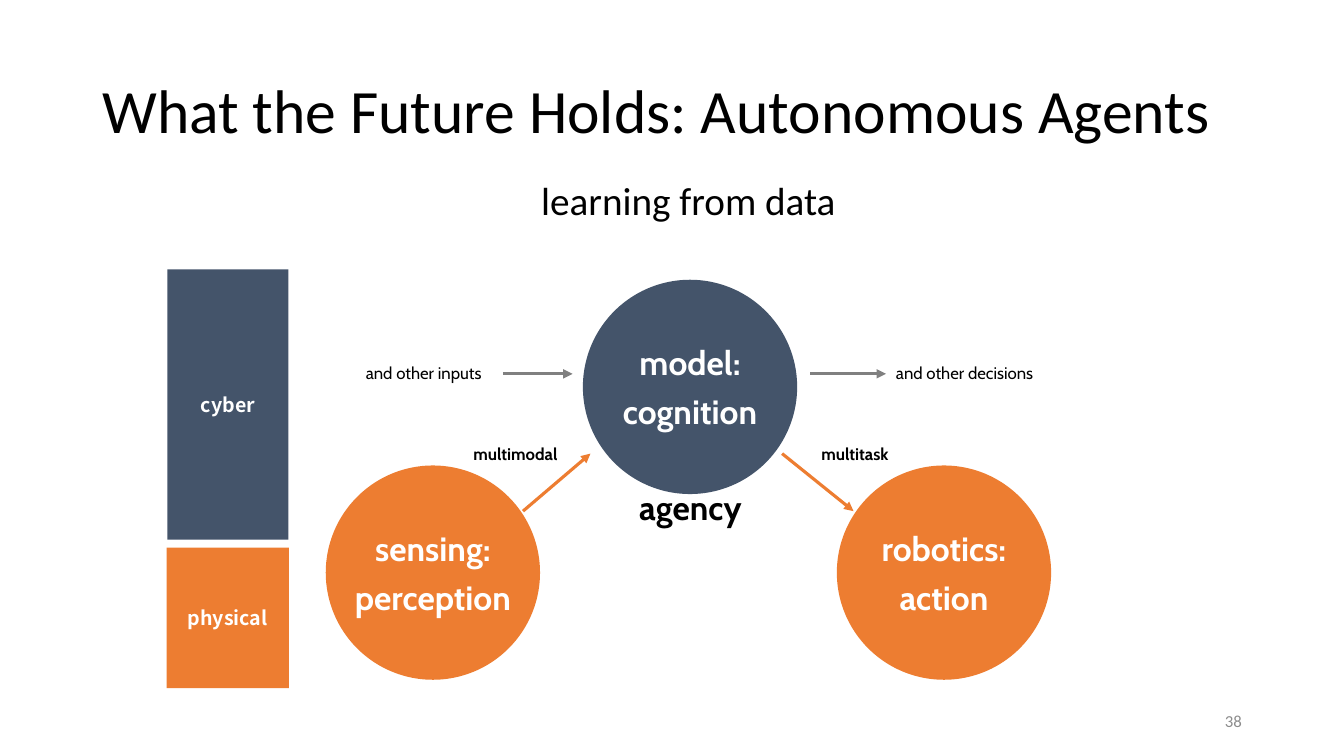
from lxml import etree
from pptx import Presentation
from pptx.dml.color import RGBColor
from pptx.enum import shapes, text
from pptx.oxml.ns import qn
from pptx.util import Cm, Pt

ORANGE = RGBColor(0xED, 0x7D, 0x31)
NAVY = RGBColor(0x44, 0x54, 0x6A)
GREY = RGBColor(0x80, 0x80, 0x80)
PALE_GREY = RGBColor(0x8C, 0x8C, 0x8C)
BLACK = RGBColor(0, 0, 0)
WHITE = RGBColor(0xFF, 0xFF, 0xFF)
LEFT, CENTER, RIGHT = text.PP_ALIGN.LEFT, text.PP_ALIGN.CENTER, text.PP_ALIGN.RIGHT
TOP, MIDDLE = text.MSO_ANCHOR.TOP, text.MSO_ANCHOR.MIDDLE


def write(shape, lines, size, font="Cabin", color=BLACK, bold=False, align=LEFT,
          anchor=TOP, inset=0.25, inset_y=0.13, wrap=False, after=0, spacing=None):
    frame = shape.text_frame
    frame.text = lines
    frame.word_wrap = wrap
    frame.vertical_anchor = anchor
    frame.margin_left = frame.margin_right = Cm(inset)
    frame.margin_top = frame.margin_bottom = Cm(inset_y)
    for paragraph in frame.paragraphs:
        paragraph.alignment = align
        paragraph.space_after = Pt(after)
        paragraph.line_spacing = spacing
        paragraph.font.name = font
        paragraph.font.size = Pt(size)
        paragraph.font.bold = bold
        paragraph.font.color.rgb = color


def add_filled(kind, left, top, width, height, fill):
    shape = slide.shapes.add_shape(kind, Cm(left), Cm(top), Cm(width), Cm(height))
    shape.shadow.inherit = False
    shape.fill.solid()
    shape.fill.fore_color.rgb = fill
    shape.line.fill.background()
    return shape


deck = Presentation()
deck.slide_width, deck.slide_height = Cm(33.87), Cm(19.05)
slide = deck.slides.add_slide(deck.slide_layouts[5])

title = slide.shapes.title
title.left, title.top, title.width, title.height = Cm(2.33), Cm(1.02), Cm(29.21), Cm(3.68)
write(title, "What the Future Holds: Autonomous Agents", 44, font="Calibri",
      anchor=MIDDLE, wrap=True, spacing=0.9)

for layer, left, top, width, height, fill in [
    ("physical", 4.2, 13.8, 3.08, 3.54, ORANGE),
    ("cyber", 4.22, 6.79, 3.05, 6.81, NAVY),
]:
    bar = add_filled(shapes.MSO_SHAPE.RECTANGLE, left, top, width, height, fill)
    write(bar, layer, 14, font="Noto Sans CJK JP", color=WHITE, bold=True,
          align=CENTER, anchor=MIDDLE, inset=0, inset_y=0)

DIAMETER = 5.4
for stage, left, top, fill in [
    ("sensing:\nperception", 8.21, 11.73, ORANGE),
    ("model:\ncognition", 14.69, 7.05, NAVY),
    ("robotics:\naction", 21.09, 11.73, ORANGE),
]:
    circle = add_filled(shapes.MSO_SHAPE.OVAL, left, top, DIAMETER, DIAMETER, fill)
    write(circle, stage, 24, color=WHITE, bold=True, align=CENTER, anchor=MIDDLE,
          inset=0, inset_y=0, after=6)

for x1, y1, x2, y2, color in [
    (13.18, 12.88, 14.88, 11.43, ORANGE),
    (19.71, 11.43, 21.51, 12.88, ORANGE),
    (12.67, 9.42, 14.43, 9.42, GREY),
    (20.42, 9.42, 22.33, 9.42, GREY),
]:
    arrow = slide.shapes.add_connector(
        shapes.MSO_CONNECTOR.STRAIGHT, Cm(x1), Cm(y1), Cm(x2), Cm(y2))
    arrow.line.color.rgb = color
    arrow.line.width = Pt(2.25)
    etree.SubElement(arrow.line._get_or_add_ln(), qn("a:tailEnd"), type="triangle")
    etree.SubElement(arrow._element.spPr, qn("a:effectLst"))

note = dict(size=12, inset_y=0.25, after=6)
for words, left, top, width, height, style in [
    ("multimodal", 11.68, 10.92, 2.74, 1.02, dict(note, bold=True)),
    ("multitask", 20.45, 10.92, 2.34, 1.02, dict(note, bold=True)),
    ("and other inputs", 8.97, 8.89, 3.76, 1.02, note),
    ("and other decisions", 22.33, 8.89, 4.37, 1.02, note),
    ("agency", 15.01, 12.14, 4.78, 1.27,
     dict(size=24, bold=True, align=CENTER, wrap=True)),
    ("learning from data", 13.39, 4.32, 8, 1.45, dict(size=28, font="Calibri")),
    ("38", 23.93, 17.65, 7.62, 1.02,
     dict(size=12, font="Calibri", color=PALE_GREY, align=RIGHT, anchor=MIDDLE, wrap=True)),
]:
    label = slide.shapes.add_textbox(Cm(left), Cm(top), Cm(width), Cm(height))
    write(label, words, **style)

deck.save("out.pptx")
